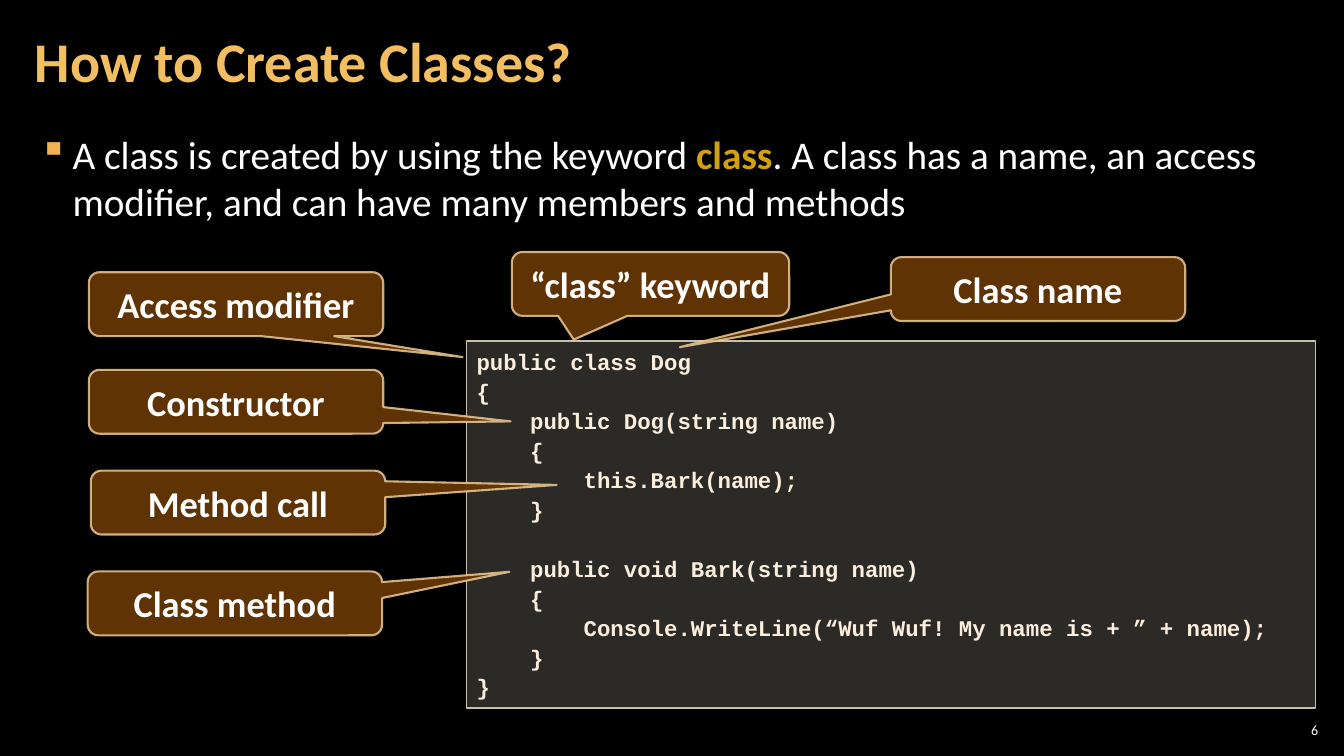
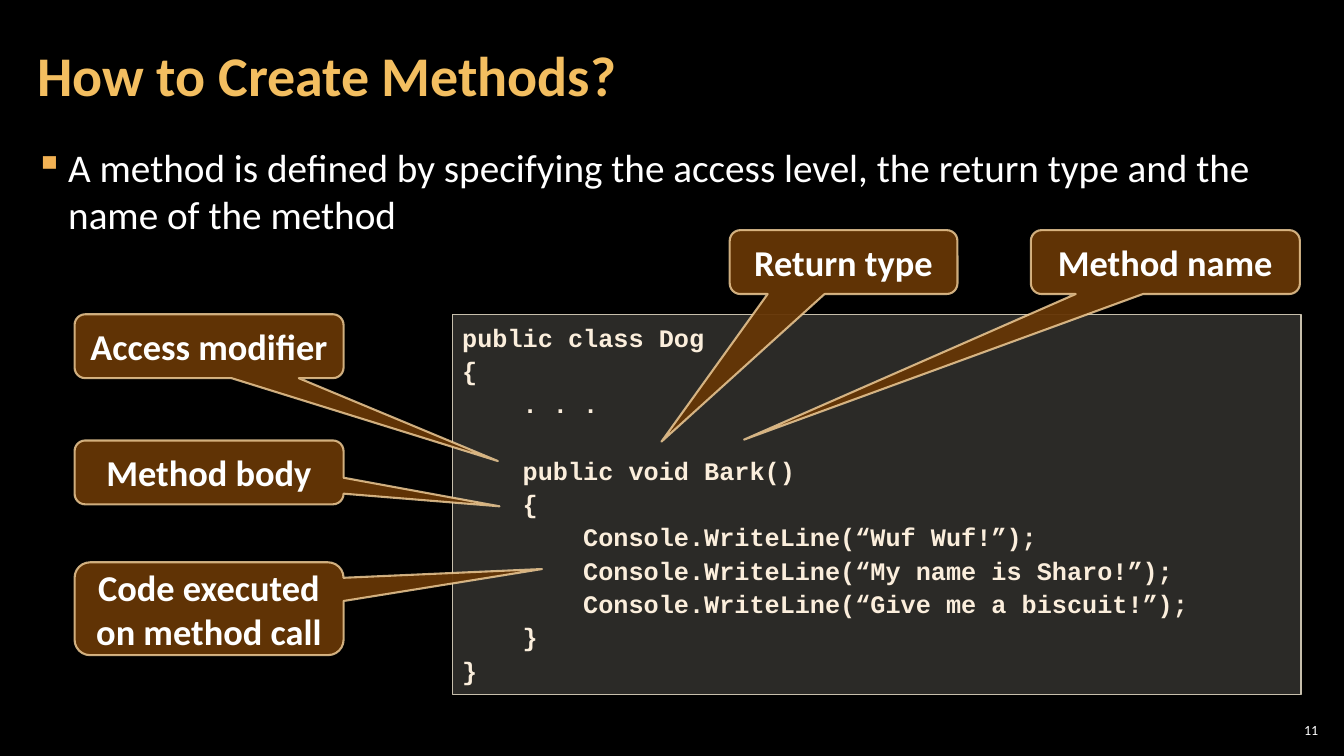
from lxml import etree
from pptx import Presentation
from pptx.dml.color import RGBColor
from pptx.enum.shapes import MSO_SHAPE
from pptx.enum.text import MSO_ANCHOR, PP_ALIGN
from pptx.oxml.ns import qn
from pptx.util import Cm, Pt

BLACK = RGBColor(0x00, 0x00, 0x00)
WHITE = RGBColor(0xFF, 0xFF, 0xFF)
TITLE_GOLD = RGBColor(0xF3, 0xBE, 0x60)
BULLET_GOLD = RGBColor(0xF2, 0xB2, 0x54)
KEYWORD_GOLD = RGBColor(0xD2, 0xA0, 0x10)
CODE_FILL = RGBColor(0xD9, 0xD5, 0xC7)
CODE_LINE = RGBColor(0xC7, 0xBF, 0xAC)
CODE_TEXT = RGBColor(0xFB, 0xEE, 0xDC)
CALLOUT_FILL = RGBColor(0x66, 0x36, 0x06)
CALLOUT_LINE = RGBColor(0xF8, 0xD4, 0x9E)

RECTANGLE = MSO_SHAPE.RECTANGLE
CALLOUT = MSO_SHAPE.ROUNDED_RECTANGULAR_CALLOUT
TOP, MIDDLE = MSO_ANCHOR.TOP, MSO_ANCHOR.MIDDLE
LEFT, CENTER, RIGHT = PP_ALIGN.LEFT, PP_ALIGN.CENTER, PP_ALIGN.RIGHT

BODY_FONT = "Calibri"
CODE_FONT = "Courier New"
CALLOUT_HEIGHT = 1.61
NUMBER_BOX = (32.13, 18.14, 1.19, 0.53)

CLASS_CODE = """public class Dog
{
    public Dog(string name)
    {
        this.Bark(name);
    }

    public void Bark(string name)
    {
        Console.WriteLine(“Wuf Wuf! My name is + ” + name);
    }
}"""

METHOD_CODE = """public class Dog
{
    . . .

    public void Bark()
    {
        Console.WriteLine(“Wuf Wuf!”);
        Console.WriteLine(“My name is Sharo!”);
        Console.WriteLine(“Give me a biscuit!”);
    }
}"""

SLIDES = [
    {
        "number": "6",
        "title": "How to Create Classes?",
        "title_box": (0.58, 0.1, 26.6, 3.07),
        "statement": [
            ("A class is created by using the keyword ", False),
            ("class", True),
            (". A class has a name, an access modifier, "
             "and can have many members and methods", False),
        ],
        "statement_box": (0.69, 3.18, 32.49, 2.84),
        "code": CLASS_CODE,
        "code_size": 16,
        "code_box": (11.76, 8.59, 21.39, 9.25),
        "callouts": [
            ("Access modifier", (2.24, 6.86, 7.42, CALLOUT_HEIGHT), (11.66, 9.0)),
            ("“class” keyword", (12.9, 6.35, 6.99, CALLOUT_HEIGHT), (14.46, 8.56)),
            ("Class name", (22.45, 6.48, 7.42, CALLOUT_HEIGHT), (17.13, 8.75)),
            ("Constructor", (2.24, 9.32, 7.42, CALLOUT_HEIGHT), (12.87, 10.62)),
            ("Method call", (2.29, 11.86, 7.42, CALLOUT_HEIGHT), (14.03, 12.22)),
            ("Class method", (2.21, 14.4, 7.42, CALLOUT_HEIGHT), (12.84, 14.41)),
        ],
    },
    {
        "number": "11",
        "title": "How to Create Methods?",
        "title_box": (0.64, 0.43, 26.6, 3.07),
        "statement": [
            ("A method is defined by specifying the access level, "
             "the return type and the name of the method", False),
        ],
        "statement_box": (0.58, 3.51, 32.49, 3.48),
        "code": METHOD_CODE,
        "code_size": 18,
        "code_box": (11.4, 7.92, 21.39, 9.58),
        "callouts": [
            ("Access modifier", (1.88, 7.92, 6.78, CALLOUT_HEIGHT), (12.55, 11.62)),
            ("Return type", (18.39, 5.8, 5.74, CALLOUT_HEIGHT), (16.67, 11.13)),
            ("Method name", (25.98, 5.8, 6.78, CALLOUT_HEIGHT), (18.75, 11.08)),
            ("Method body", (1.88, 11.1, 6.78, CALLOUT_HEIGHT), (12.59, 12.76)),
            ("Code executed on method call", (1.88, 14.17, 6.78, 2.34), (13.66, 14.34)),
        ],
    },
]


def to_lengths(box):
    return [Cm(value) for value in box]


def format_font(font, name, size, color, bold=False):
    font.name = name
    font.size = Pt(size)
    font.bold = bold
    font.color.rgb = color


def add_text_box(slide, box, anchor, side_margin):
    text_frame = slide.shapes.add_textbox(*to_lengths(box)).text_frame
    text_frame.word_wrap = True
    text_frame.vertical_anchor = anchor
    text_frame.margin_left = text_frame.margin_right = Cm(side_margin)
    text_frame.margin_top = text_frame.margin_bottom = Cm(0.1)
    return text_frame


def add_panel(slide, kind, box, fill, line, line_width):
    shape = slide.shapes.add_shape(kind, *to_lengths(box))
    shape.shadow.inherit = False
    shape.fill.solid()
    shape.fill.fore_color.rgb = fill
    shape.line.color.rgb = line
    shape.line.width = Pt(line_width)
    shape.text_frame.word_wrap = True
    return shape


def set_opacity(shape, *percentages):
    colors = shape.element.spPr.iter(qn("a:srgbClr"))
    for color, percentage in zip(colors, percentages):
        etree.SubElement(color, qn("a:alpha"), val=str(percentage * 1000))


def add_bullet(paragraph):
    properties = paragraph._p.get_or_add_pPr()
    properties.set("marL", str(Cm(0.84)))
    properties.set("indent", str(-Cm(0.84)))
    color = etree.SubElement(properties, qn("a:buClr"))
    etree.SubElement(color, qn("a:srgbClr"), val=str(BULLET_GOLD))
    etree.SubElement(properties, qn("a:buChar"), char="▪")


def add_title(slide, box, text):
    text_frame = add_text_box(slide, box, MIDDLE, 0.3)
    text_frame.text = text
    paragraph = text_frame.paragraphs[0]
    paragraph.line_spacing = 0.9
    format_font(paragraph.runs[0].font, BODY_FONT, 40, TITLE_GOLD, True)


def add_slide_number(slide, number):
    text_frame = add_text_box(slide, NUMBER_BOX, MIDDLE, 0.1)
    text_frame.text = number
    paragraph = text_frame.paragraphs[0]
    paragraph.alignment = RIGHT
    format_font(paragraph.runs[0].font, BODY_FONT, 10, WHITE)


def add_statement(slide, box, parts):
    paragraph = add_text_box(slide, box, TOP, 0.3).paragraphs[0]
    add_bullet(paragraph)
    for text, is_keyword in parts:
        run = paragraph.add_run()
        run.text = text
        color = KEYWORD_GOLD if is_keyword else WHITE
        format_font(run.font, BODY_FONT, 28, color, is_keyword)


def add_code(slide, box, code, size):
    shape = add_panel(slide, RECTANGLE, box, CODE_FILL, CODE_LINE, 1)
    set_opacity(shape, 20)
    text_frame = shape.text_frame
    text_frame.vertical_anchor = TOP
    text_frame.text = code
    for paragraph in text_frame.paragraphs:
        paragraph.alignment = LEFT
        paragraph.line_spacing = 1.1
        for run in paragraph.runs:
            format_font(run.font, CODE_FONT, size, CODE_TEXT, True)
        if not paragraph.runs:
            ending = etree.SubElement(paragraph._p, qn("a:endParaRPr"), sz=str(size * 100))
            etree.SubElement(ending, qn("a:latin"), typeface=CODE_FONT)


def add_callout(slide, text, box, tip):
    shape = add_panel(slide, CALLOUT, box, CALLOUT_FILL, CALLOUT_LINE, 1.5)
    set_opacity(shape, 95, 80)
    left, top, width, height = box
    shape.adjustments[0] = (tip[0] - left) / width - 0.5
    shape.adjustments[1] = (tip[1] - top) / height - 0.5
    text_frame = shape.text_frame
    text_frame.vertical_anchor = MIDDLE
    text_frame.text = text
    paragraph = text_frame.paragraphs[0]
    paragraph.alignment = CENTER
    format_font(paragraph.runs[0].font, BODY_FONT, 26, WHITE, True)


def add_code_slide(presentation, content):
    slide = presentation.slides.add_slide(presentation.slide_layouts[6])
    add_slide_number(slide, content["number"])
    add_title(slide, content["title_box"], content["title"])
    add_statement(slide, content["statement_box"], content["statement"])
    add_code(slide, content["code_box"], content["code"], content["code_size"])
    for text, box, tip in content["callouts"]:
        add_callout(slide, text, box, tip)


def main():
    presentation = Presentation()
    presentation.slide_width = Cm(33.87)
    presentation.slide_height = Cm(19.05)
    background = presentation.slide_master.background.fill
    background.solid()
    background.fore_color.rgb = BLACK
    for content in SLIDES:
        add_code_slide(presentation, content)
    presentation.save("out.pptx")


if __name__ == "__main__":
    main()
